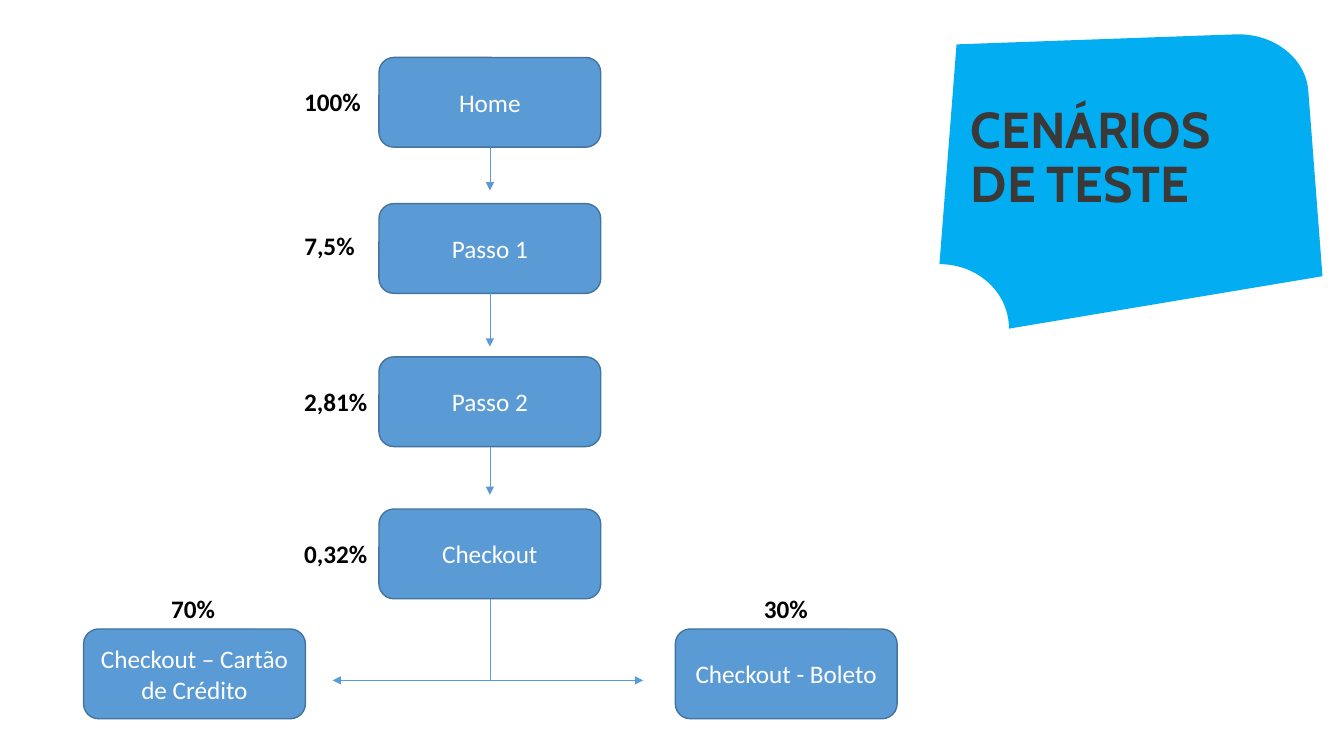
from lxml import etree
from pptx import Presentation, util as u
from pptx.dml.color import RGBColor
from pptx.enum import shapes, text
from pptx.oxml.ns import qn

HUES = {"badge": "02AEF1", "title": "3B3838", "box": "5B9BD5",
        "edge": "43739E", "label": "FFFFFF", "rate": "000000"}
CELL = u.Inches(0.1)
COLS, ROWS = 133.33, 75
BOX_W, BOX_H = 22, 8.9
MAIN, MID = 37.6, 48.6


def grid(*cells):
    """Turn grid cells into slide lengths."""
    return [u.Emu(round(c * CELL)) for c in cells]


def hue(name):
    """Look up a colour by name."""
    return RGBColor.from_string(HUES[name])


def style(para, name, size, tint, bold=False):
    """Set the font of one paragraph."""
    font = para.font
    font.name, font.size, font.bold = name, u.Pt(size), bold
    font.color.rgb = hue(tint)


def curve(a, b, c, d, steps=24):
    """List points along a cubic curve."""
    pts = []
    for i in range(steps + 1):
        t = i / steps
        s = 1 - t
        mix = (s ** 3, 3 * s * s * t, 3 * s * t * t, t ** 3)
        pts.append(tuple(sum(m * p[k] for m, p in zip(mix, (a, b, c, d)))
                         for k in (0, 1)))
    return pts


def badge(slide):
    """Draw the blue title shape behind everything."""
    pts = curve((129.8, 9.1), (129.6, 5.9), (126.6, 3.4), (122.8, 3.4))
    pts += [(94.9, 4.4)]
    pts += curve((93.2, 26.2), (97, 26.2), (100.1, 29), (100.1, 32.6))
    pts += [(131.2, 27.4)]
    pts = [grid(*p) for p in pts]
    form = slide.shapes.build_freeform(*pts[0])
    form.add_line_segments(pts[1:], close=True)
    shape = form.convert_to_shape()
    shape.shadow.inherit = False
    shape.fill.solid()
    shape.fill.fore_color.rgb = hue("badge")
    shape.line.fill.background()
    slide.shapes._spTree.insert(2, shape._element)


def title(slide, words):
    """Place and format the slide title."""
    head = slide.shapes.title
    head.left, head.top, head.width, head.height = grid(95.3, 9.2, 33.3, 13.2)
    frame = head.text_frame
    frame.text = words
    frame.word_wrap = True
    frame.auto_size = text.MSO_AUTO_SIZE.NONE
    frame.vertical_anchor = text.MSO_ANCHOR.MIDDLE
    para = frame.paragraphs[0]
    para.alignment = text.PP_ALIGN.LEFT
    para.line_spacing = 0.9
    style(para, "Cabin", 36, "title", True)


def step(slide, words, x, y):
    """Draw one rounded funnel step."""
    box = slide.shapes.add_shape(shapes.MSO_SHAPE.ROUNDED_RECTANGLE,
                                 *grid(x, y, BOX_W, BOX_H))
    box.shadow.inherit = False
    box.fill.solid()
    box.fill.fore_color.rgb = hue("box")
    box.line.color.rgb = hue("edge")
    box.line.width = u.Pt(1)
    frame = box.text_frame
    frame.text = words
    frame.word_wrap = True
    frame.vertical_anchor = text.MSO_ANCHOR.MIDDLE
    para = frame.paragraphs[0]
    para.alignment = text.PP_ALIGN.CENTER
    style(para, "Calibri", 18, "label")
    return box


def rate(slide, words, x, y, wide):
    """Write one bold percentage."""
    note = slide.shapes.add_textbox(*grid(x, y, wide, 4))
    frame = note.text_frame
    frame.text = words
    frame.word_wrap = False
    frame.auto_size = text.MSO_AUTO_SIZE.SHAPE_TO_FIT_TEXT
    style(frame.paragraphs[0], "Calibri", 18, "rate", True)


def arrow(slide, kind, *ends):
    """Draw a thin connector with an arrowhead at its end."""
    link = slide.shapes.add_connector(kind, *grid(*ends))
    link.line.color.rgb = hue("box")
    link.line.width = u.Pt(0.5)
    etree.SubElement(link.line._get_or_add_ln(), qn("a:tailEnd"),
                     type="triangle")
    etree.SubElement(link._element.spPr, qn("a:effectLst"))
    return link


def bend(slide, x, y, tip, base):
    """Draw an arrow that goes down, then sideways to its tip."""
    wide, high = base - y, abs(tip - x)
    left, top = (x + tip - wide) / 2, (y + base - high) / 2
    link = arrow(slide, shapes.MSO_CONNECTOR.ELBOW,
                 left, top, left + wide, top + high)
    props = link._element.spPr
    props.find(qn("a:prstGeom")).set("prst", "bentConnector2")
    turn = props.find(qn("a:xfrm"))
    turn.set("rot", str((270 if tip > x else 90) * 60000))
    if tip > x:
        turn.set("flipH", "1")


def main():
    """Build the test scenario slide."""
    deck = Presentation()
    deck.slide_width, deck.slide_height = grid(COLS, ROWS)
    slide = deck.slides.add_slide(deck.slide_layouts[5])
    badge(slide)
    title(slide, "CENÁRIOS\vDE TESTE")

    steps = [("Home", 5.7, 18.9), ("Passo 1", 20.2, 34.4),
             ("Passo 2", 35.4, 49.1), ("Checkout", 50.5, None)]
    for words, y, tip in steps:
        box = step(slide, words, MAIN, y)
        if tip:
            link = arrow(slide, shapes.MSO_CONNECTOR.STRAIGHT,
                         MID, y + BOX_H, MID, tip)
            link.begin_connect(box, 2)

    ways = [("Checkout – Cartão de Crédito", 8.3, 33),
            ("Checkout - Boleto", 67, 63.8)]
    for words, x, tip in ways:
        step(slide, words, x, 62.4)
        bend(slide, MID, 59.4, tip, 67.5)

    rates = [("100%", 29.2, 8.1, 7.7), ("7,5%", 29.2, 22.4, 7.1),
             ("2,81%", 29.2, 37.8, 8.3), ("0,32%", 29.2, 52.9, 8.3),
             ("70%", 16, 58.4, 6.4), ("30%", 74.8, 58.4, 6.4)]
    for item in rates:
        rate(slide, *item)
    deck.save("out.pptx")


if __name__ == "__main__":
    main()
